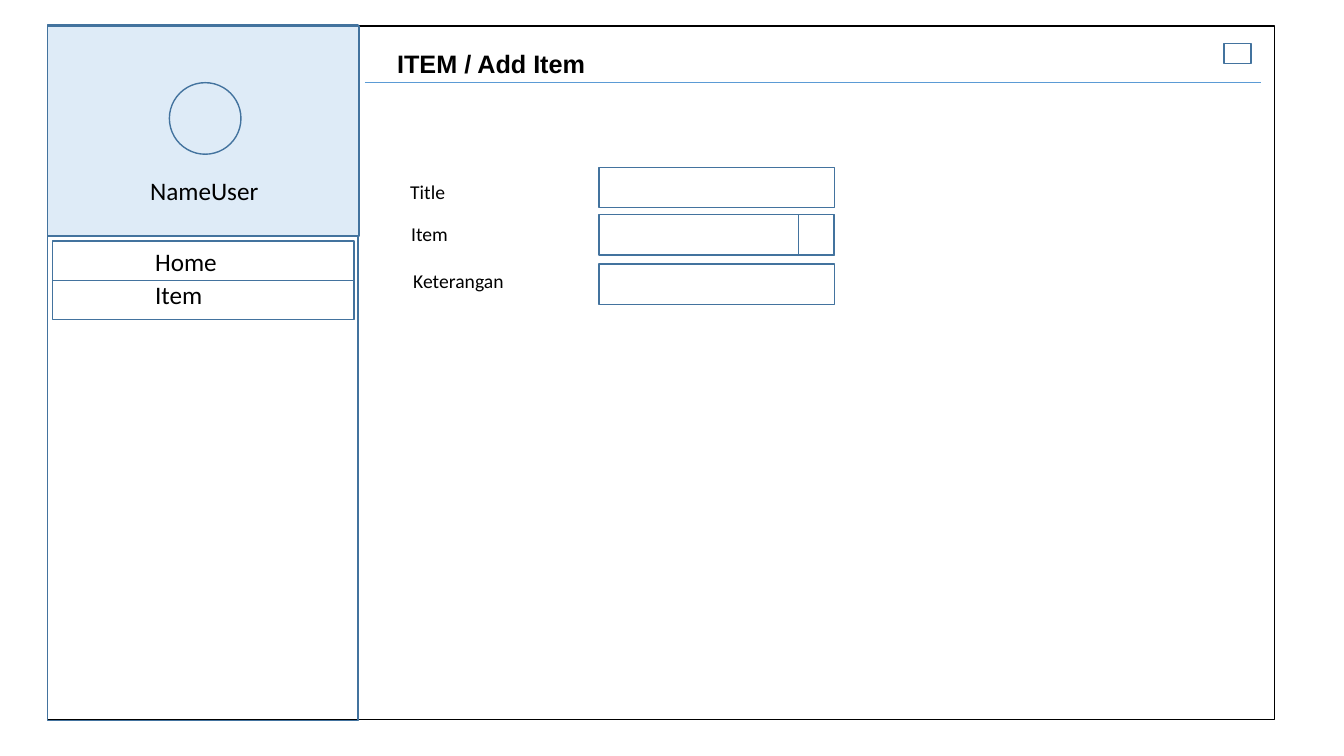
from dataclasses import dataclass
from pptx import Presentation
from pptx.dml.color import RGBColor as Rgb
from pptx.enum.shapes import MSO_CONNECTOR as Conn, MSO_SHAPE as Kind
from pptx.enum.text import MSO_AUTO_SIZE as Fit
from pptx.oxml.ns import qn
from pptx.util import Inches, Pt
from lxml import etree


@dataclass(frozen=True)
class Theme:
    ink: str = "000000"
    edge: str = "43739E"
    rule: str = "5B9BD5"
    tint: str = "DEEBF7"
    body: str = "Calibri"
    head: str = "Arial"
    big: int = 18
    small: int = 14
    thin: float = 0.5
    line: float = 1


class Page:
    def __init__(self, slide, theme):
        self.slide = slide
        self.theme = theme

    def stroke(self, item, color, width):
        item.line.color.rgb = Rgb.from_string(color)
        item.line.width = Pt(width)

    def box(self, x, y, w, h, kind=Kind.RECTANGLE, fill=None, edge=None):
        item = self.slide.shapes.add_shape(kind, *map(Inches, (x, y, w, h)))
        item.shadow.inherit = False
        if fill:
            item.fill.solid()
            item.fill.fore_color.rgb = Rgb.from_string(fill)
        else:
            item.fill.background()
        self.stroke(item, edge or self.theme.edge, self.theme.line)

    def text(self, x, y, w, words, h=0.4, wrap=True, **style):
        item = self.slide.shapes.add_textbox(*map(Inches, (x, y, w, h)))
        frame = item.text_frame
        frame.word_wrap = wrap
        frame.auto_size = Fit.SHAPE_TO_FIT_TEXT
        run = frame.paragraphs[0].add_run()
        run.text = words
        look = {"name": self.theme.body, "size": Pt(self.theme.big)} | style
        for key, value in look.items():
            setattr(run.font, key, value)
        run.font.color.rgb = Rgb.from_string(self.theme.ink)

    def rule(self, x, y, end):
        item = self.slide.shapes.add_connector(
            Conn.STRAIGHT, *map(Inches, (x, y, end, y)))
        self.stroke(item, self.theme.rule, self.theme.thin)
        etree.SubElement(item._element.spPr, qn("a:effectLst"))


deck = Presentation()
deck.slide_width, deck.slide_height = Inches(13.33), Inches(7.5)
theme = Theme()
page = Page(deck.slides.add_slide(deck.slide_layouts[6]), theme)

# Window and side panel
page.box(0.47, 0.26, 12.17, 6.88, edge=theme.ink)
page.box(0.47, 0.25, 3.08, 6.9)

# User card
page.box(0.47, 0.26, 3.09, 2.08, fill=theme.tint)
page.box(1.68, 0.82, 0.71, 0.71, kind=Kind.OVAL)
page.text(1.39, 1.69, 1.29, "NameUser")

# Menu
row = 0.39
for i, (name, top) in enumerate([("Home", 2.39), ("Item", 2.72)]):
    page.box(0.52, 2.39 + i * row, 2.99, row)
    page.text(1.44, top, 2.18, name)

# Header
page.rule(3.62, 0.82, 12.51)
page.text(3.84, 0.43, 2.09, "ITEM / Add Item", name=theme.head, bold=True)
page.box(12.14, 0.43, 0.27, 0.2)

# Form: label, its left and top, field top
form = [("Title", 3.97, 1.74, 1.66),
        ("Item", 3.98, 2.15, 2.13),
        ("Keterangan", 4, 2.62, 2.62)]
for name, left, top, field in form:
    page.text(left, top, 1.17, name, h=0.34, wrap=False, size=Pt(theme.small))
    page.box(5.94, field, 2.34, 0.4)

# Drop-down button of the Item field
page.box(7.92, 2.13, 0.35, 0.4)

deck.save("out.pptx")
